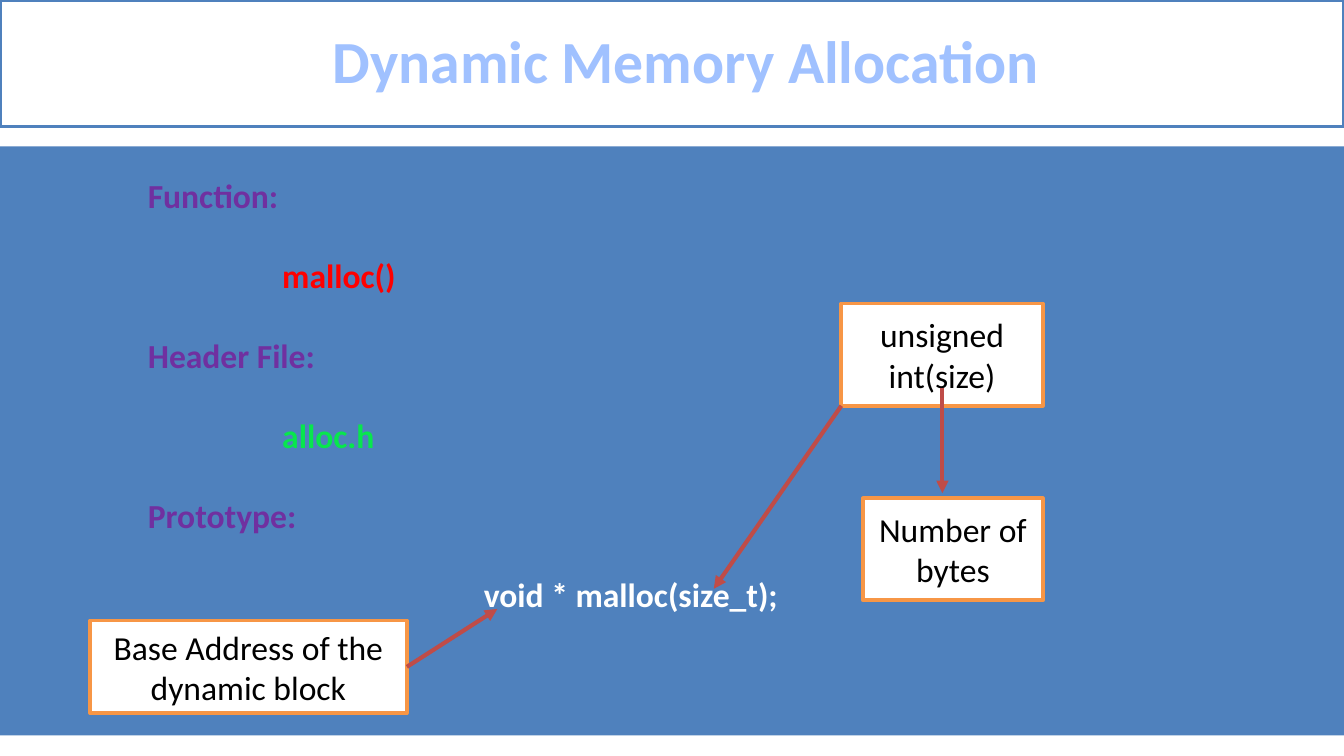
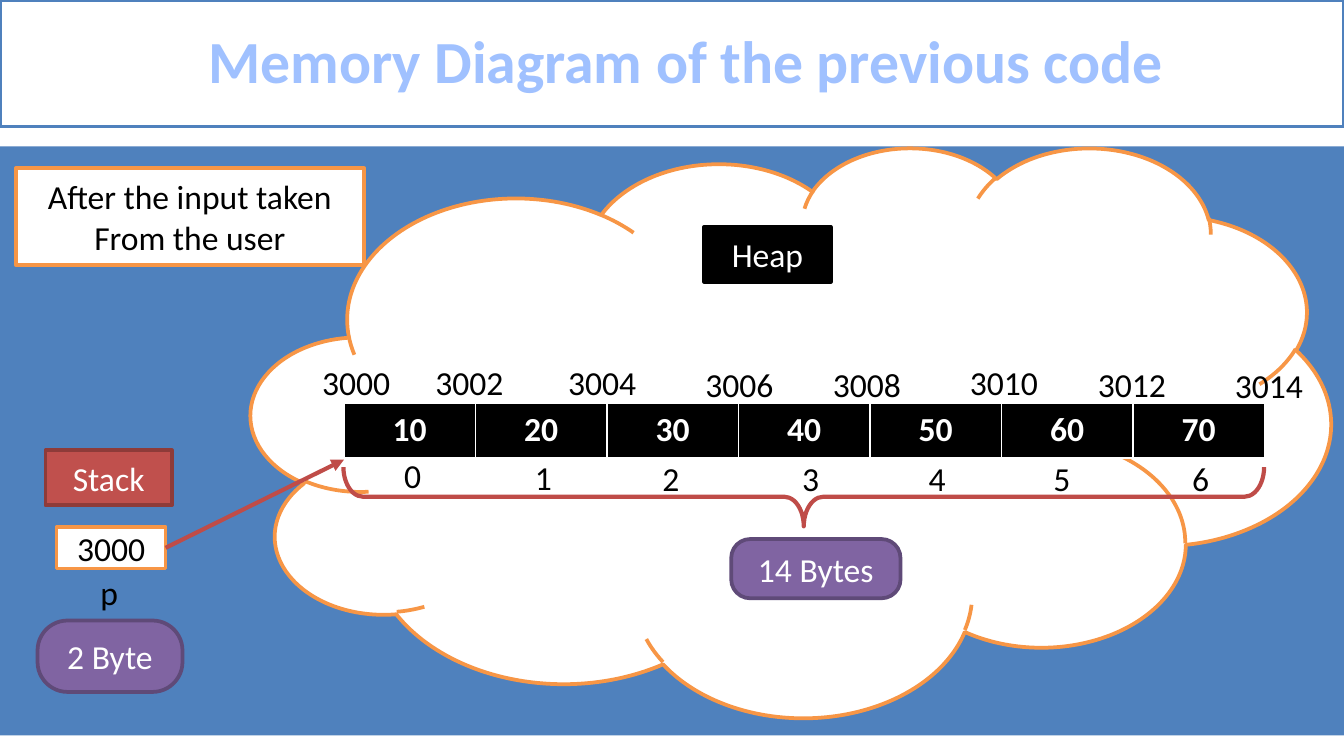
"""Builds two slides on dynamic memory allocation."""
from typing import NamedTuple, Optional

from lxml.etree import SubElement
from pptx import Presentation
from pptx.dml.color import RGBColor
from pptx.enum.shapes import MSO_CONNECTOR, MSO_SHAPE
from pptx.enum.text import MSO_ANCHOR, MSO_AUTO_SIZE, PP_ALIGN
from pptx.oxml.ns import qn
from pptx.util import Cm, Pt

WHITE = RGBColor(0xFF, 0xFF, 0xFF)
BLACK = RGBColor(0, 0, 0)
BLUE = RGBColor(0x4F, 0x81, 0xBD)
SKY = RGBColor(0xA0, 0xC1, 0xFF)
ORANGE = RGBColor(0xF7, 0x96, 0x46)
BRICK = RGBColor(0xC0, 0x50, 0x4D)
RUST = RGBColor(0x8E, 0x3B, 0x39)
ARROW = RGBColor(0xBF, 0x4C, 0x48)
MAUVE = RGBColor(0x80, 0x64, 0xA2)
PLUM = RGBColor(0x5F, 0x4A, 0x78)
PURPLE = RGBColor(0x70, 0x30, 0xA0)
RED = RGBColor(0xFF, 0, 0)
GREEN = RGBColor(0x08, 0xE6, 0x4D)

WIDE, HIGH = 25.4, 14.29
PLAIN = {"name": "Calibri", "size": Pt(18), "bold": False}
STRONG = {**PLAIN, "bold": True}
HEAD = {**STRONG, "size": Pt(32)}


class Area(NamedTuple):
    """A place on the slide in centimetres."""
    left: float
    top: float
    width: float
    height: float

    def cm(self) -> list:
        """Give the four lengths."""
        return [Cm(side) for side in self]


class Box(NamedTuple):
    """A preset shape with its text and colours."""
    area: Area
    text: str = ""
    fill: Optional[RGBColor] = WHITE
    line: Optional[RGBColor] = ORANGE
    ink: RGBColor = BLACK
    kind: MSO_SHAPE = MSO_SHAPE.RECTANGLE
    bends: tuple = ()
    weight: float = 2
    turn: int = 0


class Arrow(NamedTuple):
    """A straight arrow between two points in centimetres."""
    start: tuple
    end: tuple


class Label(NamedTuple):
    """A short text without a frame."""
    text: str
    left: float
    top: float
    width: float


class Item(NamedTuple):
    """A line of the list with its level."""
    text: str
    level: int
    ink: RGBColor


TITLE = Area(0, 0, WIDE, 2.39)
LIST = Area(0, 3.18, WIDE, 11.02)
CELLS = Area(6.5, 7.62, 17.4, 1.04)
PANEL = Box(Area(0, 2.77, WIDE, 11.13), fill=BLUE, line=None)

ITEMS = [
    Item("Function:", 2, PURPLE),
    Item("malloc()", 4, RED),
    Item("Header File:", 2, PURPLE),
    Item("alloc.h", 4, GREEN),
    Item("Prototype:", 2, PURPLE),
    Item("void * malloc(size_t);", 7, WHITE),
]
BASE = Box(Area(1.7, 11.73, 5.99, 1.75), "Base Address of the dynamic block")
NOTES = [
    Box(Area(15.9, 5.74, 3.81, 1.93), "unsigned int(size)"),
    Box(Area(16.31, 9.42, 3.4, 1.93), "Number of bytes"),
]
LINKS = [Arrow((15.9, 7.67), (13.49, 11.13)), Arrow((17.81, 7.34), (17.81, 9.32))]

CLOUD = Box(Area(4.75, 2.77, 20.4, 10.77), kind=MSO_SHAPE.CLOUD)
POINTER = Box(Area(1.07, 9.96, 2.06, 0.79), "3000")
ROUND = MSO_SHAPE.ROUNDED_RECTANGLE
PARTS = [
    Box(Area(13.31, 4.29, 2.39, 1.04), "Heap", BLACK, BLACK, WHITE),
    Box(Area(0.86, 8.51, 2.39, 1.04), "Stack", BRICK, RUST, WHITE),
    Box(Area(14.63, 0.69, 1.12, 17.4), fill=None, line=ARROW,
        kind=MSO_SHAPE.RIGHT_BRACE, bends=(0.33, 0.5), weight=2.25, turn=90),
    Box(Area(13.82, 10.19, 3.2, 1.12), "14 Bytes", MAUVE, PLUM, WHITE, ROUND, (0.32,)),
    Box(Area(0.71, 11.73, 2.74, 1.35), "2 Byte", MAUVE, PLUM, WHITE, ROUND, (0.42,)),
    Box(Area(0.3, 3.18, 6.58, 1.83), "After the input taken\nFrom the user"),
]
SPOTS = [(5.84, 6.71), (7.98, 6.71), (10.49, 6.71), (13.08, 6.76),
         (15.49, 6.76), (18.08, 6.71), (20.5, 6.76), (23.09, 6.78)]
STEPS = [(7.39, 8.48), (9.86, 8.51), (12.27, 8.53), (14.91, 8.53),
         (17.3, 8.53), (19.66, 8.53), (22.28, 8.53)]
LABELS = [
    Label("p", 1.65, 10.69, 0.86),
    *(Label(str(3000 + 2 * n), *spot, 1.8) for n, spot in enumerate(SPOTS)),
    *(Label(str(n), *spot, 0.84) for n, spot in enumerate(STEPS)),
]


def style(frame, form: dict, ink: RGBColor, align=None) -> None:
    """Format all text in a frame."""
    for para in frame.paragraphs:
        para.alignment = align
        for run in para.runs:
            for key, value in form.items():
                setattr(run.font, key, value)
            run.font.color.rgb = ink


def place(shape, area: Area) -> None:
    """Move a shape to an area."""
    for key, value in zip(Area._fields, area.cm()):
        setattr(shape, key, value)


def paint(shape, fill: Optional[RGBColor], line: Optional[RGBColor], weight: float) -> None:
    """Set the fill and outline of a shape."""
    if fill is None:
        shape.fill.background()
    else:
        shape.fill.solid()
        shape.fill.fore_color.rgb = fill
    if line is None:
        shape.line.fill.background()
    else:
        shape.line.color.rgb = line
        shape.line.width = Pt(weight)


def draw(slide, box: Box):
    """Draw a box and return its shape."""
    shape = slide.shapes.add_shape(box.kind, *box.area.cm())
    shape.shadow.inherit = False
    shape.rotation = box.turn
    for n, bend in enumerate(box.bends):
        shape.adjustments[n] = bend
    paint(shape, box.fill, box.line, box.weight)
    if box.text:
        frame = shape.text_frame
        frame.text = box.text
        frame.word_wrap = True
        frame.vertical_anchor = MSO_ANCHOR.MIDDLE
        style(frame, PLAIN, box.ink, PP_ALIGN.CENTER)
    return shape


def point(slide, arrow: Arrow, source=None) -> None:
    """Draw an arrow, joined to the right side of a source if given."""
    ends = [Cm(side) for side in (*arrow.start, *arrow.end)]
    link = slide.shapes.add_connector(MSO_CONNECTOR.STRAIGHT, *ends)
    if source is not None:
        link.begin_connect(source, 3)
    link.line.color.rgb = ARROW
    link.line.width = Pt(2.25)
    SubElement(link.line._get_or_add_ln(), qn("a:tailEnd"), type="triangle")
    SubElement(link._element.spPr, qn("a:effectLst"))


def write(slide, label: Label) -> None:
    """Write a label."""
    area = Area(label.left, label.top, label.width, 1.02)
    frame = slide.shapes.add_textbox(*area.cm()).text_frame
    frame.text = label.text
    frame.word_wrap = False
    style(frame, PLAIN, BLACK, PP_ALIGN.LEFT)


def start(deck, layout: int, text: str):
    """Add a slide with its title and blue panel."""
    slide = deck.slides.add_slide(deck.slide_layouts[layout])
    slide.shapes._spTree.insert(2, draw(slide, PANEL)._element)
    title = slide.shapes.title
    place(title, TITLE)
    paint(title, WHITE, BLUE, 2)
    frame = title.text_frame
    frame.text = text
    frame.auto_size = MSO_AUTO_SIZE.NONE
    frame.vertical_anchor = MSO_ANCHOR.MIDDLE
    style(frame, HEAD, SKY, PP_ALIGN.CENTER)
    para = frame.paragraphs[0]
    para._p.get_or_add_pPr().set("marL", str(Cm(0.53)))
    para.line_spacing = 0.96
    return slide


def fill_list(slide) -> None:
    """Write the list in the body placeholder."""
    body = slide.placeholders[1]
    place(body, LIST)
    frame = body.text_frame
    frame.text = "\n".join(item.text for item in ITEMS)
    frame.auto_size = MSO_AUTO_SIZE.NONE
    style(frame, STRONG, BLACK, PP_ALIGN.LEFT)
    for n, (para, item) in enumerate(zip(frame.paragraphs, ITEMS)):
        prop = para._p.get_or_add_pPr()
        prop.set("marL", str(Cm(1.27 * item.level + 0.95)))
        prop.set("indent", str(Cm(-0.95)))
        SubElement(prop, qn("a:buNone"))
        para.level = item.level
        para.space_before = Pt(21.2 if n else 0)
        para.runs[0].font.color.rgb = item.ink


def fill_cells(slide) -> None:
    """Draw the row of memory cells."""
    count = 7
    table = slide.shapes.add_table(1, count, *CELLS.cm()).table
    table.horz_banding = False
    for n in range(count):
        table.columns[n].width = Cm(CELLS.width / count)
        cell = table.cell(0, n)
        cell.fill.solid()
        cell.fill.fore_color.rgb = BLACK
        cell.text = str(10 * (n + 1))
        style(cell.text_frame, STRONG, WHITE, PP_ALIGN.CENTER)


def main() -> None:
    """Build and save the deck."""
    deck = Presentation()
    deck.slide_width, deck.slide_height = Cm(WIDE), Cm(HIGH)

    slide = start(deck, 1, "Dynamic Memory Allocation")
    fill_list(slide)
    point(slide, Arrow((7.69, 12.61), (9.4, 11.51)), draw(slide, BASE))
    for box in NOTES:
        draw(slide, box)
    for arrow in LINKS:
        point(slide, arrow)

    slide = start(deck, 5, "Memory Diagram of the previous code")
    draw(slide, CLOUD)
    fill_cells(slide)
    point(slide, Arrow((3.13, 10.36), (6.5, 8.69)), draw(slide, POINTER))
    for box in PARTS:
        draw(slide, box)
    for label in LABELS:
        write(slide, label)

    deck.save("out.pptx")


if __name__ == "__main__":
    main()
